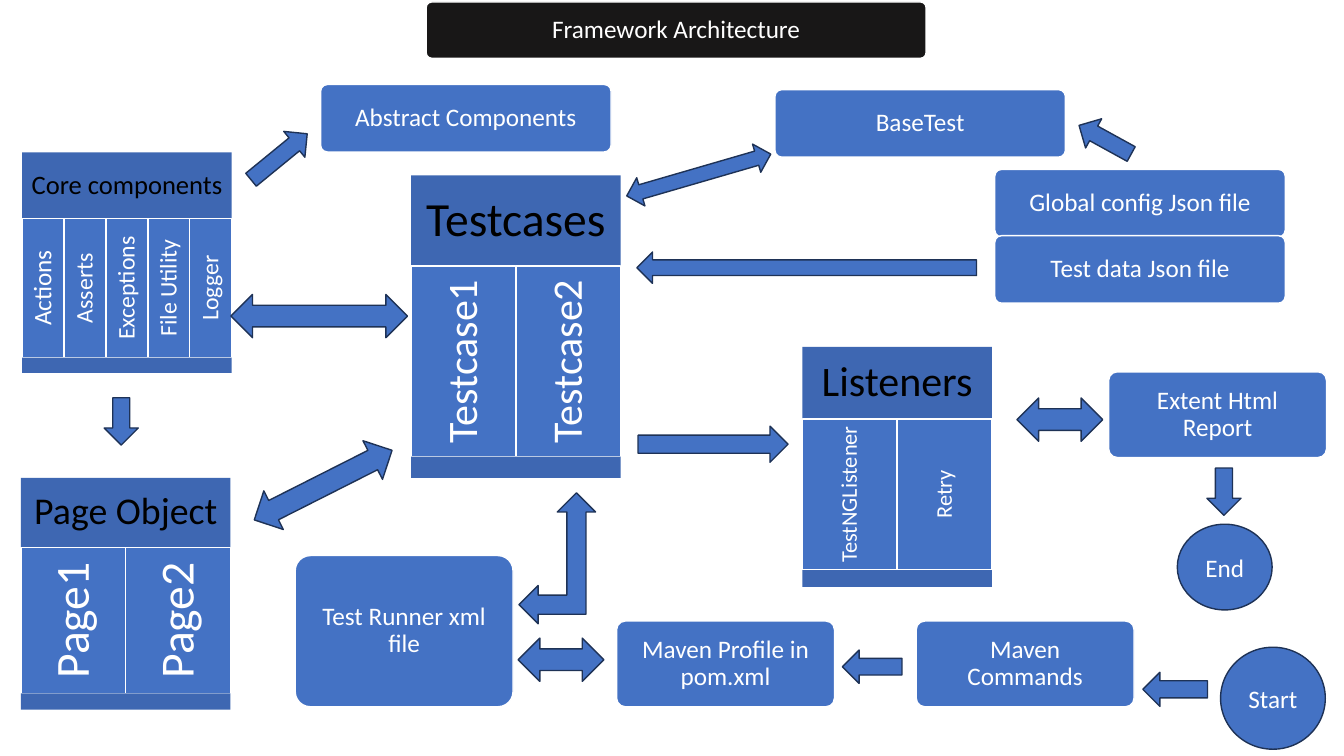
import pptx
import pptx.util
import pptx.dml.color
import pptx.enum.shapes
import pptx.enum.text

Cm = pptx.util.Cm
Pt = pptx.util.Pt
Shape = pptx.enum.shapes.MSO_SHAPE

COLOURS = {
    "blue": "4472C4",
    "band": "3E67B2",
    "outline": "1E3256",
    "title": "181717",
    "white": "FFFFFF",
    "black": "000000",
}
FONT = "Calibri"
HEAD_SHARE, BODY_SHARE, FOOT_SHARE = 0.30, 0.63, 0.07


def colour(name):
    return pptx.dml.color.RGBColor.from_string(COLOURS[name])


def add_box(page, kind, area, fill="blue", line=None):
    box = page.shapes.add_shape(kind, *[Cm(length) for length in area])
    box.shadow.inherit = False
    box.fill.solid()
    box.fill.fore_color.rgb = colour(fill)
    if line:
        box.line.color.rgb = colour(line)
        box.line.width = Pt(1)
    else:
        box.line.fill.background()
    return box


def write(box, text, size, ink="white", inset=(0, 0), spacing=0.9, upright=False):
    frame = box.text_frame
    frame.word_wrap = True
    frame.vertical_anchor = pptx.enum.text.MSO_ANCHOR.MIDDLE
    frame.margin_left = frame.margin_right = Pt(inset[0])
    frame.margin_top = frame.margin_bottom = Pt(inset[1])
    if upright:
        frame._txBody.bodyPr.set("vert", "vert270")
    para = frame.paragraphs[0]
    para.text = text
    para.alignment = pptx.enum.text.PP_ALIGN.CENTER
    para.line_spacing = spacing
    para.font.name = FONT
    para.font.size = Pt(size)
    para.font.color.rgb = colour(ink)


def add_card(page, text, area, fill="blue"):
    card = add_box(page, Shape.ROUNDED_RECTANGLE, area, fill, "white")
    card.adjustments[0] = 0.1
    write(card, text, 18, inset=(10, 6.5))


def add_module(page, title, title_size, columns, area):
    left, top, width, height = area
    head, body, foot = [height * share for share in (HEAD_SHARE, BODY_SHARE, FOOT_SHARE)]
    header = add_box(page, Shape.RECTANGLE, (left, top, width, head), "band")
    write(header, title, title_size, "black", (title_size * 0.29,) * 2)
    step = width / len(columns)
    for index, (text, size) in enumerate(columns):
        column = add_box(page, Shape.RECTANGLE,
                         (left + index * step, top + head, step, body), line="white")
        write(column, text, size, inset=(size * 0.29,) * 2, upright=True)
    add_box(page, Shape.RECTANGLE, (left, top + head + body, width, foot), "band")


def add_terminal(page, text, area):
    terminal = add_box(page, Shape.OVAL, area, line="outline")
    write(terminal, text, 18, spacing=1.0)


def add_arrow(page, kind, area, angle=0):
    arrow = add_box(page, kind, area, line="outline")
    arrow.rotation = angle


CARDS = [
    ("Abstract Components", (8.08, 2.13, 7.32, 1.7)),
    ("BaseTest", (19.53, 2.26, 7.32, 1.7)),
    ("Global config Json file", (25.07, 4.27, 7.32, 1.7)),
    ("Test data Json file", (25.07, 5.94, 7.32, 1.7)),
    ("Extent Html Report", (27.94, 9.37, 5.49, 2.16)),
    ("Test Runner xml file", (7.44, 14, 5.49, 3.81)),
    ("Maven Profile in pom.xml", (15.54, 15.65, 5.49, 2.16)),
    ("Maven Commands", (23.09, 15.65, 5.49, 2.16)),
]

MODULES = [
    ("Core components", 19,
     [("Actions", 18), ("Asserts", 17), ("Exceptions", 17), ("File Utility", 17), ("Logger", 17)],
     (0.56, 3.84, 5.28, 5.56)),
    ("Page Object", 27, [("Page1", 34), ("Page2", 34)], (0.53, 12.04, 5.28, 5.84)),
    ("Testcases", 34, [("Testcase1", 30), ("Testcase2", 30)], (10.36, 4.42, 5.28, 7.62)),
    ("Listeners", 30, [("TestNGListener", 16), ("Retry", 16)], (20.22, 8.74, 4.78, 6.05)),
]

ONE_WAY = [
    ((6.12, 3.53, 1.83, 0.84), 320.7),
    ((27.1, 3.1, 1.5, 0.84), 208.8),
    ((16.05, 6.35, 8.56, 0.79), 180),
    ((16.08, 10.74, 3.78, 0.91), 0),
    ((2.46, 10.19, 1.19, 0.86), 90),
    ((30.25, 11.96, 1.19, 0.86), 90),
    ((21.23, 16.38, 1.5, 0.84), 180),
    ((28.8, 16.94, 1.63, 0.86), 180),
]

TWO_WAY = [
    ((5.82, 7.42, 4.45, 1.09), 0),
    ((15.72, 4.04, 3.78, 0.74), 343.8),
    ((25.63, 10.03, 2.16, 1.09), 0),
    ((13.06, 16.08, 2.16, 1.09), 0),
    ((6.2, 11.68, 3.89, 1.09), 333.2),
]


def build_architecture(page):
    add_card(page, "Framework Architecture", (10.74, 0.05, 12.6, 1.42), "title")
    for text, area in CARDS:
        add_card(page, text, area)
    for title, size, columns, area in MODULES:
        add_module(page, title, size, columns, area)
    for area, angle in ONE_WAY:
        add_arrow(page, Shape.RIGHT_ARROW, area, angle)
    for area, angle in TWO_WAY:
        add_arrow(page, Shape.LEFT_RIGHT_ARROW, area, angle)
    add_arrow(page, Shape.LEFT_UP_ARROW, (13.08, 12.42, 1.93, 3.3))
    add_terminal(page, "End", (29.67, 13.21, 2.39, 2.16))
    add_terminal(page, "Start", (30.76, 16.31, 2.64, 2.57))


def main():
    deck = pptx.Presentation()
    deck.slide_width = Cm(33.87)
    deck.slide_height = Cm(19.05)
    page = deck.slides.add_slide(deck.slide_layouts[6])
    build_architecture(page)
    deck.save("out.pptx")


if __name__ == "__main__":
    main()
